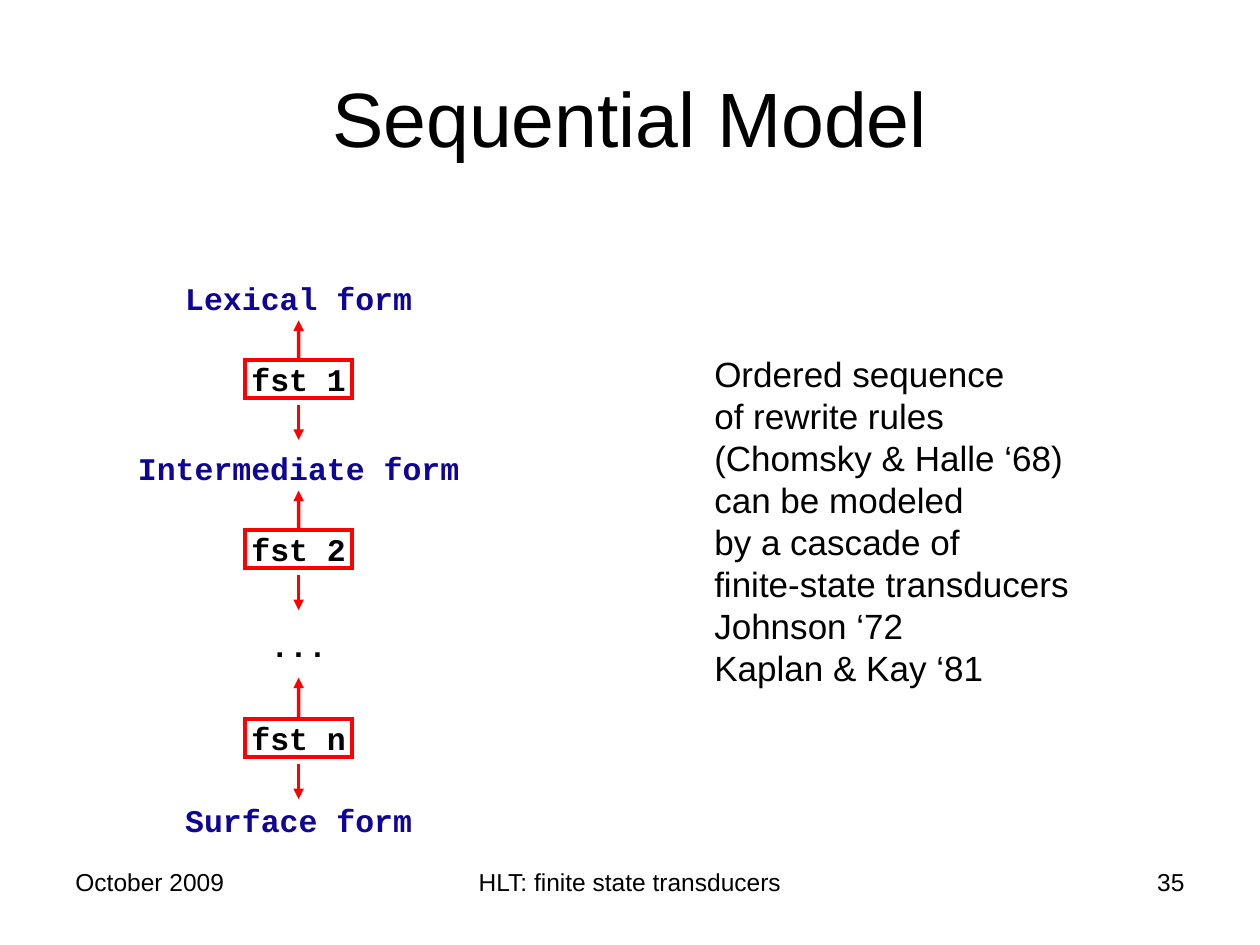
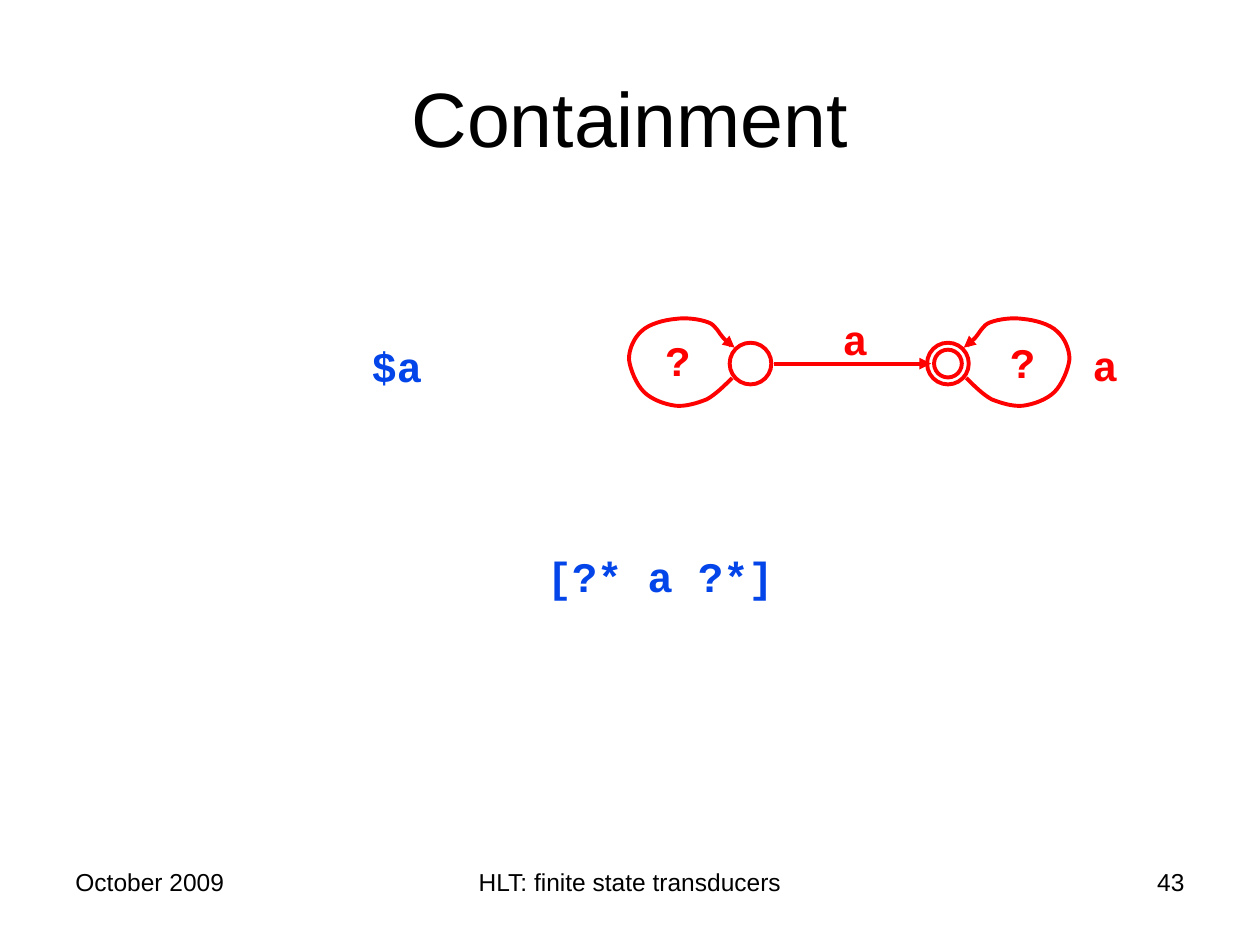
from dataclasses import dataclass

from lxml.etree import SubElement
from pptx import Presentation
from pptx.dml.color import RGBColor
from pptx.enum.shapes import MSO_CONNECTOR, MSO_SHAPE
from pptx.enum.text import MSO_ANCHOR as Anchor, MSO_AUTO_SIZE as AutoSize, PP_ALIGN as Align
from pptx.oxml.ns import qn
from pptx.util import Cm, Pt

BLACK, RED, NAVY, BLUE = "000000", "FF0000", "0E0496", "0345E9"
SANS, MONO = "Arial", "Courier New"
CASCADE_X = 6.02
STATE_Y = 7.33
START_X, FINAL_X = 15.13, 19.11
LOOP_START = (19.48, 7.62)
LOOP_CURVES = [
    ((19.63, 7.77), (19.81, 7.95), (19.99, 8.05)),
    ((20.19, 8.13), (20.42, 8.2), (20.62, 8.18)),
    ((20.85, 8.15), (21.11, 8.05), (21.26, 7.9)),
    ((21.41, 7.75), (21.54, 7.44), (21.56, 7.24)),
    ((21.56, 7.04), (21.46, 6.81), (21.31, 6.68)),
    ((21.16, 6.53), (20.85, 6.45), (20.62, 6.43)),
    ((20.42, 6.4), (20.14, 6.43), (19.96, 6.5)),
    ((19.81, 6.55), (19.74, 6.73), (19.66, 6.81)),
    ((19.56, 6.91), (19.48, 6.98), (19.43, 7.01)),
]
NOTE = """Ordered sequence
of rewrite rules
(Chomsky & Halle ‘68)
can be modeled
by a cascade of
finite-state transducers
Johnson ‘72
Kaplan & Kay ‘81"""


@dataclass(frozen=True)
class Label:
    """A monospaced caption centred on a horizontal position, in cm."""
    text: str
    center: float
    top: float
    width: float
    color: str


@dataclass(frozen=True)
class Transducer:
    """A boxed transducer in the cascade, in cm."""
    text: str
    top: float
    rise: float = 0.8


@dataclass(frozen=True)
class Footer:
    """One footer field, in cm."""
    text: str
    left: float
    width: float
    align: Align


FORMS = [
    Label("Lexical form", CASCADE_X, 5.5, 5.08, NAVY),
    Label("Intermediate form", CASCADE_X, 8.92, 6.98, NAVY),
    Label("...", CASCADE_X, 12.5, 1.65, BLACK),
    Label("Surface form", CASCADE_X, 16.02, 5.08, NAVY),
]
TRANSDUCERS = [Transducer("fst 1", 7.26), Transducer("fst 2", 10.69),
               Transducer("fst n", 14.5, 0.84)]
AUTOMATON_LABELS = [
    Label("a", 17.24, 6.2, 1.02, RED),
    Label("?", 13.67, 6.61, 1.02, RED),
    Label("?", 20.62, 6.65, 1.02, RED),
    Label("a", 22.28, 6.71, 1.02, RED),
    Label("$a", 8, 6.73, 1.52, BLUE),
    Label("[?* a ?*]", 13.31, 10.97, 5.08, BLUE),
]


def rgb(value: str) -> RGBColor:
    """Turn a hex string into a colour."""
    return RGBColor.from_string(value)


def write(shape, text: str, *, size: float, font: str = SANS, color: str = BLACK,
          bold: bool = False, align: Align = Align.LEFT, anchor: Anchor = Anchor.TOP,
          wrap: bool = True, margins: tuple[float, float] = (0.25, 0.13)) -> None:
    """Fill a shape with formatted text, one paragraph a line."""
    frame = shape.text_frame
    frame.word_wrap = wrap
    frame.auto_size = AutoSize.NONE if wrap else AutoSize.SHAPE_TO_FIT_TEXT
    frame.vertical_anchor = anchor
    frame.margin_left = frame.margin_right = Cm(margins[0])
    frame.margin_top = frame.margin_bottom = Cm(margins[1])
    for index, line in enumerate(text.split("\n")):
        para = frame.add_paragraph() if index else frame.paragraphs[0]
        para.alignment = align
        span = para.add_run()
        span.text = line
        span.font.name = font
        span.font.size = Pt(size)
        span.font.bold = bold
        span.font.color.rgb = rgb(color)


def add_box(page, left: float, top: float, width: float, height: float):
    """Add a text box placed in cm."""
    return page.shapes.add_textbox(Cm(left), Cm(top), Cm(width), Cm(height))


def add_label(page, label: Label, size: float, height: float, anchor: Anchor) -> None:
    """Add a bold monospaced caption."""
    box = add_box(page, label.center - label.width / 2, label.top, label.width, height)
    write(box, label.text, size=size, font=MONO, color=label.color, bold=True,
          align=Align.CENTER, anchor=anchor, wrap=False)


def add_line_detail(shape, tag: str, **attributes: str) -> None:
    """Append a detail such as a join or an arrowhead to a line."""
    SubElement(shape.element.spPr.find(qn("a:ln")), qn(tag), **attributes)


def outline(shape, weight: float) -> None:
    """Give a shape a red outline with sharp corners, no fill and no shadow."""
    shape.shadow.inherit = False
    shape.fill.background()
    shape.line.color.rgb = rgb(RED)
    shape.line.width = Pt(weight)
    add_line_detail(shape, "a:miter", lim="800000")


def add_arrow(page, start: tuple[float, float], end: tuple[float, float], weight: float):
    """Add a straight red arrow between two points in cm."""
    arrow = page.shapes.add_connector(MSO_CONNECTOR.STRAIGHT, *map(Cm, start + end))
    arrow.line.color.rgb = rgb(RED)
    arrow.line.width = Pt(weight)
    add_line_detail(arrow, "a:tailEnd", type="triangle")
    SubElement(arrow.element.spPr, qn("a:effectLst"))
    return arrow


def add_transducer(page, transducer: Transducer) -> None:
    """Add a boxed transducer with an arrow up and an arrow down."""
    width, top = 2.16, transducer.top
    box = page.shapes.add_shape(MSO_SHAPE.RECTANGLE, Cm(CASCADE_X - width / 2), Cm(top),
                                Cm(width), Cm(0.76))
    outline(box, 2)
    write(box, transducer.text, size=18, font=MONO, bold=True, align=Align.CENTER,
          wrap=False, margins=(0.1, 0))
    up = add_arrow(page, (CASCADE_X, top), (CASCADE_X, top - transducer.rise), 2)
    up.begin_connect(box, 0)
    add_arrow(page, (CASCADE_X, top + 0.9), (CASCADE_X, top + 1.61), 2)


def add_ring(page, center: float, diameter: float) -> None:
    """Add a state circle on the state line."""
    ring = page.shapes.add_shape(MSO_SHAPE.OVAL, Cm(center - diameter / 2),
                                 Cm(STATE_Y - diameter / 2), Cm(diameter), Cm(diameter))
    outline(ring, 2.25)


def add_loop(page, mirrored: bool) -> None:
    """Add a self-loop on the final state, or its mirror on the start state."""
    def place(point: tuple[float, float]) -> tuple[Cm, Cm]:
        """Convert a loop point to slide lengths."""
        x, y = point
        return Cm(START_X + FINAL_X - x if mirrored else x), Cm(y)

    builder = page.shapes.build_freeform(*place(LOOP_START))
    builder.add_line_segments([place(curve[-1]) for curve in LOOP_CURVES], close=False)
    loop = builder.convert_to_shape()
    segments = list(loop.element.spPr.iter(qn("a:lnTo")))
    for segment, curve in zip(segments, LOOP_CURVES):
        segment.clear()
        segment.tag = qn("a:cubicBezTo")
        for x, y in map(place, curve):
            SubElement(segment, qn("a:pt"), x=str(x - loop.left), y=str(y - loop.top))
    outline(loop, 2.25)
    add_line_detail(loop, "a:tailEnd", type="triangle")


def add_page(deck, title: str, number: int):
    """Add a page with its title and footers."""
    page = deck.slides.add_slide(deck.slide_layouts[6])
    footers = [
        Footer("October 2009", 1.27, 5.92, Align.LEFT),
        Footer("HLT: finite state transducers", 8.68, 8.04, Align.CENTER),
        Footer(str(number), 18.21, 5.92, Align.RIGHT),
    ]
    for footer in footers:
        box = add_box(page, footer.left, 17.35, footer.width, 1.32)
        write(box, footer.text, size=14, align=footer.align)
    write(add_box(page, 1.27, 0.76, 22.86, 3.18), title, size=44,
          align=Align.CENTER, anchor=Anchor.MIDDLE)
    return page


def build_sequential_model(deck) -> None:
    """Build the cascade of transducers."""
    page = add_page(deck, "Sequential Model", 35)
    for form in FORMS:
        add_label(page, form, 18, 1.02, Anchor.TOP)
    for transducer in TRANSDUCERS:
        add_transducer(page, transducer)
    write(add_box(page, 14.15, 6.98, 7.75, 7.01), NOTE, size=20, wrap=False)


def build_containment(deck) -> None:
    """Build the containment automaton."""
    page = add_page(deck, "Containment", 43)
    add_arrow(page, (15.6, STATE_Y), (18.77, STATE_Y), 2.25)
    for center, diameter in ((START_X, 0.84), (FINAL_X, 0.84), (FINAL_X, 0.56)):
        add_ring(page, center, diameter)
    for mirrored in (False, True):
        add_loop(page, mirrored)
    for label in AUTOMATON_LABELS:
        add_label(page, label, 24, 1.27, Anchor.MIDDLE)


def main() -> None:
    """Build and save the deck."""
    deck = Presentation()
    deck.slide_width, deck.slide_height = Cm(25.4), Cm(19.05)
    build_sequential_model(deck)
    build_containment(deck)
    deck.save("out.pptx")


if __name__ == "__main__":
    main()
